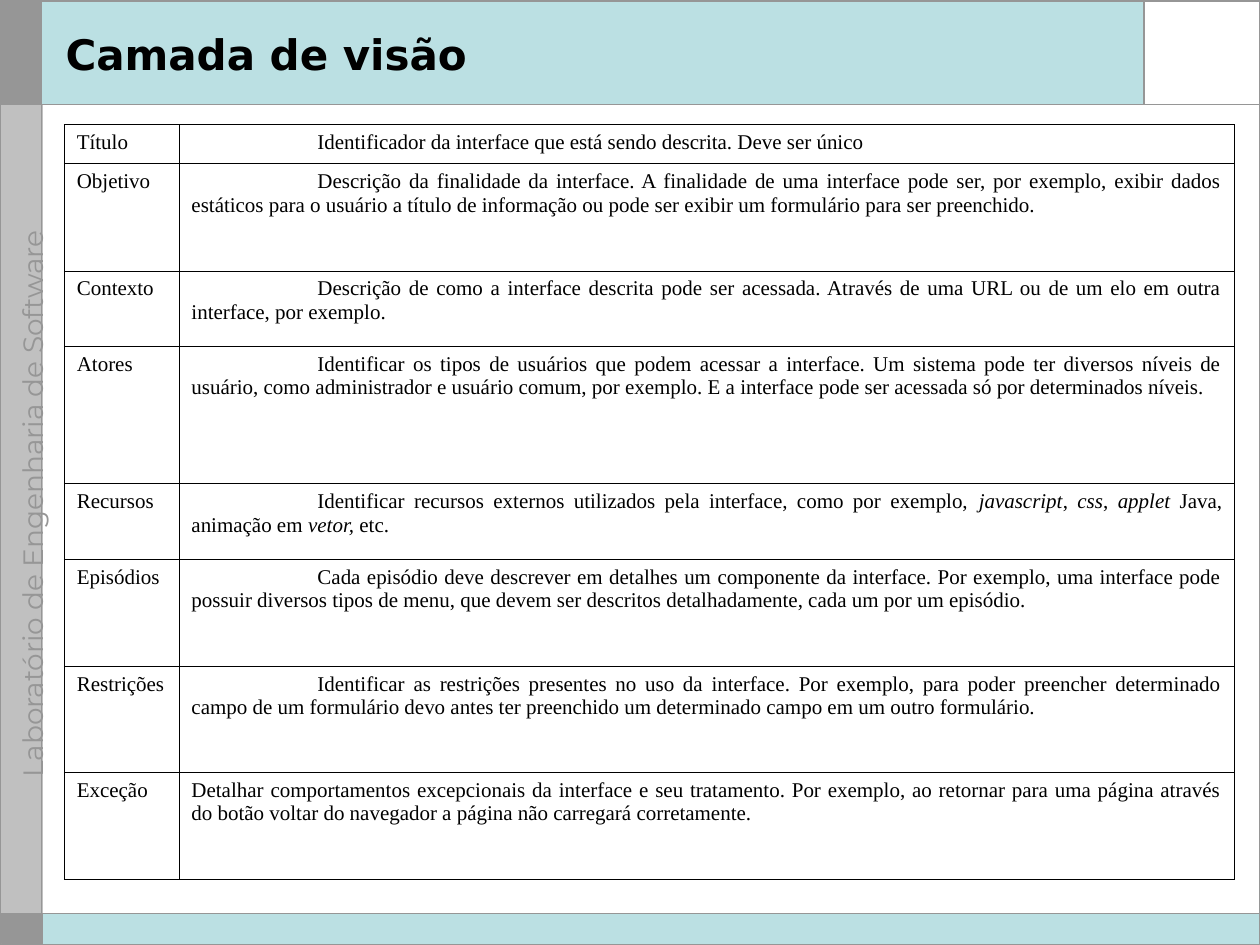
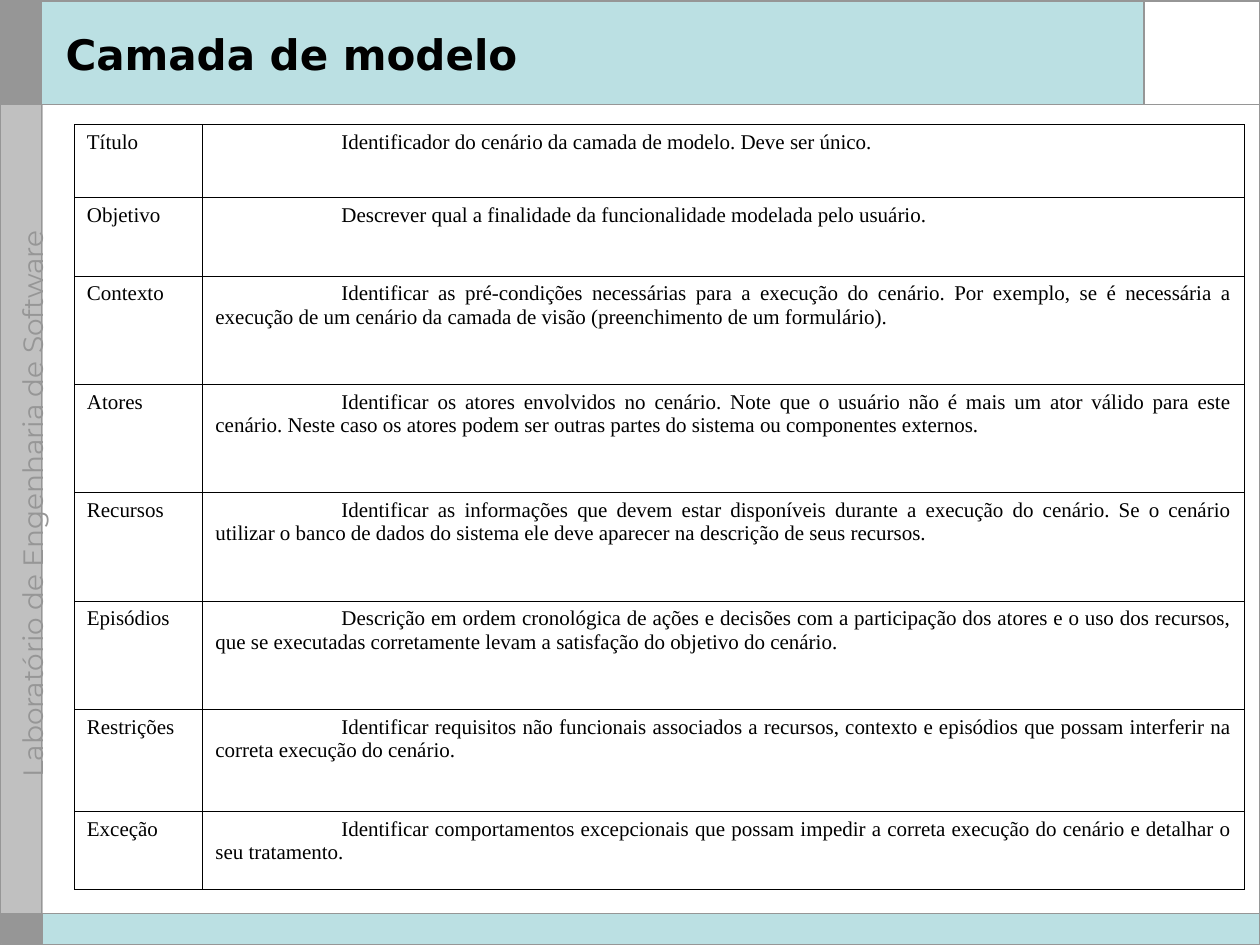
from dataclasses import dataclass

from lxml import etree
from pptx import Presentation
from pptx.dml.color import RGBColor
from pptx.enum import shapes, text
from pptx.oxml import ns
from pptx.util import Inches, Pt


@dataclass(frozen=True)
class Theme:
    black: str = "000000"
    white: str = "FFFFFF"
    aqua: str = "BBE0E3"
    gray: str = "969696"
    silver: str = "C0C0C0"
    title_font: str = "DejaVu Sans"
    side_font: str = "Montserrat"
    body_font: str = "Times New Roman"
    title_size: float = 24
    side_size: float = 16
    body_size: float = 12
    rule_width: float = 1
    border_width: float = 0.45


THEME = Theme()
WIDTH, HEIGHT = 10, 7.5
HEADER, FOOTER, SIDEBAR = 0.83, 0.25, 0.33
FOOTER_TOP = HEIGHT - FOOTER
LOGO_LEFT = 9.08
LABORATORY = "Laboratório de Engenharia de Software"

# Asterisks mark italic words.
VIEW_ROWS = [
    ("Título", 0.31, "Identificador da interface que está sendo descrita. Deve ser único"),
    ("Objetivo", 0.85, "Descrição da finalidade da interface. A finalidade de uma interface "
     "pode ser, por exemplo, exibir dados estáticos para o usuário a título de informação "
     "ou pode ser exibir um formulário para ser preenchido."),
    ("Contexto", 0.6, "Descrição de como a interface descrita pode ser acessada. Através de "
     "uma URL ou de um elo em outra interface, por exemplo."),
    ("Atores", 1.09, "Identificar os tipos de usuários que podem acessar a interface. Um "
     "sistema pode ter diversos níveis de usuário, como administrador e usuário comum, por "
     "exemplo. E a interface pode ser acessada só por determinados níveis."),
    ("Recursos", 0.6, "Identificar recursos externos utilizados pela interface, como por "
     "exemplo, *javascript*, *css*, *applet* Java, animação em *vetor, *etc."),
    ("Episódios", 0.85, "Cada episódio deve descrever em detalhes um componente da interface. "
     "Por exemplo, uma interface pode possuir diversos tipos de menu, que devem ser "
     "descritos detalhadamente, cada um por um episódio."),
    ("Restrições", 0.84, "Identificar as restrições presentes no uso da interface. Por "
     "exemplo, para poder preencher determinado campo de um formulário devo antes ter "
     "preenchido um determinado campo em um outro formulário."),
    ("Exceção", 0.85, "Detalhar comportamentos excepcionais da interface e seu tratamento. "
     "Por exemplo, ao retornar para uma página através do botão voltar do navegador a "
     "página não carregará corretamente."),
]
MODEL_ROWS = [
    ("Título", 0.58, "Identificador do cenário da camada de modelo. Deve ser único."),
    ("Objetivo", 0.62, "Descrever qual a finalidade da funcionalidade modelada pelo usuário."),
    ("Contexto", 0.86, "Identificar as pré-condições necessárias para a execução do cenário. "
     "Por exemplo, se é necessária a execução de um cenário da camada de visão "
     "(preenchimento de um formulário)."),
    ("Atores", 0.86, "Identificar os atores envolvidos no cenário. Note que o usuário não é "
     "mais um ator válido para este cenário. Neste caso os atores podem ser outras partes "
     "do sistema ou componentes externos."),
    ("Recursos", 0.86, "Identificar as informações que devem estar disponíveis durante a "
     "execução do cenário. Se o cenário utilizar o banco de dados do sistema ele deve "
     "aparecer na descrição de seus recursos."),
    ("Episódios", 0.86, "Descrição em ordem cronológica de ações e decisões com a "
     "participação dos atores e o uso dos recursos, que se executadas corretamente levam "
     "a satisfação do objetivo do cenário."),
    ("Restrições", 0.81, "Identificar requisitos não funcionais associados a recursos, "
     "contexto e episódios que possam interferir na correta execução do cenário."),
    ("Exceção", 0.62, "Identificar comportamentos excepcionais que possam impedir a correta "
     "execução do cenário e detalhar o seu tratamento."),
]


def rgb(color):
    return RGBColor.from_string(color)


def style_font(font, name, size, color, bold=False):
    font.name, font.size, font.bold = name, Pt(size), bold
    font.color.rgb = rgb(color)


def set_margins(holder):
    """Give a text frame or a table cell the common inner margins."""
    holder.margin_left = holder.margin_right = Inches(0.1)
    holder.margin_top = holder.margin_bottom = Inches(0.05)


def add_band(slide, box, fill=None, line=None, width=0.75):
    band = slide.shapes.add_shape(shapes.MSO_SHAPE.RECTANGLE, *map(Inches, box))
    band.shadow.inherit = False
    if fill:
        band.fill.solid()
        band.fill.fore_color.rgb = rgb(fill)
    else:
        band.fill.background()
    if line:
        band.line.color.rgb = rgb(line)
        band.line.width = Pt(width)
    else:
        band.line.fill.background()


def add_rule(slide, ends):
    rule = slide.shapes.add_connector(shapes.MSO_CONNECTOR.STRAIGHT, *map(Inches, ends))
    rule.line.color.rgb = rgb(THEME.gray)
    rule.line.width = Pt(THEME.rule_width)
    etree.SubElement(rule.element.spPr, ns.qn("a:effectLst"))


def add_side_label(slide, box):
    label = slide.shapes.add_textbox(*map(Inches, box))
    label.rotation = 270
    frame = label.text_frame
    frame.word_wrap = False
    set_margins(frame)
    frame.text = LABORATORY
    line = frame.paragraphs[0]
    line.alignment = text.PP_ALIGN.CENTER
    style_font(line.runs[0].font, THEME.side_font, THEME.side_size, THEME.gray)


def add_frame(slide):
    """Draw the bands, rules and side label that every slide shares."""
    inner = WIDTH - SIDEBAR
    add_band(slide, (0.01, 0.01, SIDEBAR, HEADER), THEME.gray, THEME.gray)
    add_band(slide, (SIDEBAR, 0, inner, HEADER), THEME.aqua)
    add_band(slide, (0.01, HEADER, SIDEBAR, FOOTER_TOP - HEADER), THEME.silver, THEME.silver)
    add_band(slide, (LOGO_LEFT, 0, WIDTH - LOGO_LEFT, HEADER), THEME.white)
    add_band(slide, (SIDEBAR, FOOTER_TOP, inner, FOOTER), THEME.aqua)
    add_side_label(slide, (-2.24, 3.91, 4.8, 0.18))
    add_band(slide, (0.01, FOOTER_TOP, SIDEBAR, 0.24), THEME.gray, THEME.gray)
    for ends in [
        (LOGO_LEFT, 0, LOGO_LEFT, HEADER),
        (0, HEADER, WIDTH, HEADER),
        (SIDEBAR, 0, SIDEBAR, HEIGHT),
        (0, FOOTER_TOP, WIDTH, FOOTER_TOP),
    ]:
        add_rule(slide, ends)
    add_band(slide, (0, 0.01, WIDTH, HEIGHT - 0.01), line=THEME.gray, width=THEME.rule_width)


def place_title(slide, heading, box):
    title = slide.shapes.title
    title.left, title.top, title.width, title.height = map(Inches, box)
    frame = title.text_frame
    frame.text = heading
    frame.word_wrap = True
    frame.auto_size = text.MSO_AUTO_SIZE.NONE
    frame.vertical_anchor = text.MSO_ANCHOR.MIDDLE
    set_margins(frame)
    line = frame.paragraphs[0]
    line.alignment = text.PP_ALIGN.LEFT
    style_font(line.runs[0].font, THEME.title_font, THEME.title_size, THEME.black, True)
    slide.shapes.element.append(title.element)  # in front of the header band


def add_borders(cell):
    properties = cell._tc.get_or_add_tcPr()
    for side in ("lnL", "lnR", "lnT", "lnB"):
        border = etree.SubElement(properties, ns.qn(f"a:{side}"), w=str(Pt(THEME.border_width)))
        fill = etree.SubElement(border, ns.qn("a:solidFill"))
        etree.SubElement(fill, ns.qn("a:srgbClr"), val=THEME.black)


def fill_cell(cell, content, indent=0):
    add_borders(cell)
    cell.fill.background()
    set_margins(cell)
    paragraph = cell.text_frame.paragraphs[0]
    paragraph.alignment = text.PP_ALIGN.JUSTIFY
    properties = paragraph._p.get_or_add_pPr()
    properties.set("marL", "0")
    properties.set("indent", str(Inches(indent)))
    for position, words in enumerate(content.split("*")):
        run = paragraph.add_run()
        run.text = words
        style_font(run.font, THEME.body_font, THEME.body_size, THEME.black)
        run.font.italic = position % 2 == 1


def add_scenario_table(slide, rows, left, top, columns, unindented=()):
    height = sum(row_height for _, row_height, _ in rows)
    table = slide.shapes.add_table(
        len(rows), len(columns), *map(Inches, (left, top, sum(columns), height))
    ).table
    table.first_row = table.horz_banding = False
    for column, width in zip(table.columns, columns):
        column.width = Inches(width)
    for index, (label, row_height, description) in enumerate(rows):
        table.rows[index].height = Inches(row_height)
        fill_cell(table.cell(index, 0), label)
        fill_cell(table.cell(index, 1), description, 0 if label in unindented else 1)


def add_layer_slide(deck, heading, rows, left, columns, unindented=()):
    slide = deck.slides.add_slide(deck.slide_layouts[5])
    add_frame(slide)
    place_title(slide, heading, (0.42, 0.12, 8.58, 0.62))
    add_scenario_table(slide, rows, left, 0.99, columns, unindented)


def main():
    deck = Presentation()
    deck.slide_width, deck.slide_height = Inches(WIDTH), Inches(HEIGHT)
    add_layer_slide(deck, "Camada de visão", VIEW_ROWS, 0.51, (0.91, 8.38), ("Exceção",))
    add_layer_slide(deck, "Camada de modelo", MODEL_ROWS, 0.59, (1.02, 8.27))
    deck.save("out.pptx")


if __name__ == "__main__":
    main()
